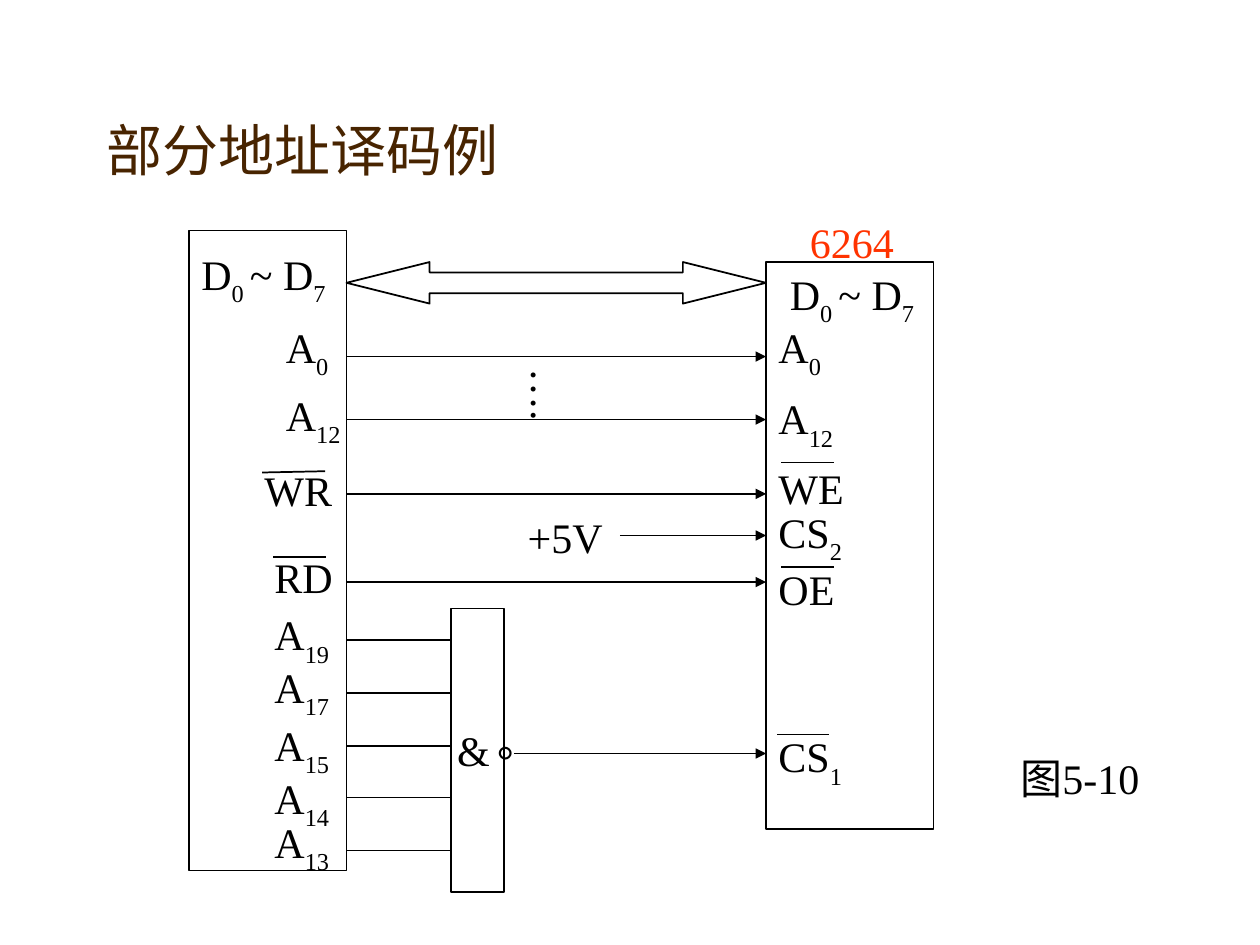
from dataclasses import dataclass

import pptx
import pptx.dml.color
import pptx.enum.shapes
import pptx.enum.text
import pptx.oxml
import pptx.oxml.ns
import pptx.util
from pptx.util import Inches

COLORS = {"ink": "000000", "title": "482400", "chip": "FF3300"}
FONT = "Times New Roman"
CPU_RIGHT, GATE_LEFT, CHIP_LEFT = 2.75, 3.58, 6.08
SHAPES = pptx.enum.shapes.MSO_SHAPE
ANCHORS = pptx.enum.text.MSO_ANCHOR


@dataclass
class Label:
    text: str
    left: float
    top: float
    width: float = 0.75


@dataclass
class Wire:
    x1: float
    y1: float
    x2: float
    y2: float
    arrow: bool = False


def rgb(name: str) -> pptx.dml.color.RGBColor:
    return pptx.dml.color.RGBColor.from_string(COLORS[name])


def add_text(s, text: str, left: float, top: float, width: float, height: float = 0.5, *,
             size: float = 24, color: str = "ink", anchor=ANCHORS.TOP, vert: str = "horz") -> None:
    tf = s.shapes.add_textbox(Inches(left), Inches(top), Inches(width), Inches(height)).text_frame
    tf.word_wrap = True
    tf.vertical_anchor = anchor
    tf._txBody.bodyPr.set("vert", vert)
    p = tf.paragraphs[0]
    for i, part in enumerate(text.split("|")):
        r = p.add_run()
        r.text = part
        r.font.name = FONT
        r.font.size = pptx.util.Pt(size)
        r.font.color.rgb = rgb(color)
        if i % 2:
            r.font._element.set("baseline", "-30000")


def add_outline(s, kind, left: float, top: float, width: float, height: float):
    sp = s.shapes.add_shape(kind, Inches(left), Inches(top), Inches(width), Inches(height))
    sp.shadow.inherit = False
    sp.fill.background()
    sp.line.color.rgb = rgb("ink")
    sp.line.width = pptx.util.Pt(1)
    return sp


def add_wire(s, wire: Wire) -> None:
    c = s.shapes.add_connector(pptx.enum.shapes.MSO_CONNECTOR.STRAIGHT, Inches(wire.x1),
                               Inches(wire.y1), Inches(wire.x2), Inches(wire.y2))
    c.line.color.rgb = rgb("ink")
    c.line.width = pptx.util.Pt(1)
    if wire.arrow:
        tail = pptx.oxml.parse_xml(f'<a:tailEnd {pptx.oxml.ns.nsdecls("a")} type="triangle"/>')
        c.line._get_or_add_ln().append(tail)
    c._element.spPr.append(pptx.oxml.parse_xml(f'<a:effectLst {pptx.oxml.ns.nsdecls("a")}/>'))


BOXES = [(CHIP_LEFT, 2.08, 1.33, 4.5), (1.5, 1.83, 1.25, 5.08), (GATE_LEFT, 4.83, 0.42, 2.25)]

CHIP_PINS = [("A|0", 2.5), ("A|12", 3.07), ("WE", 3.62), ("OE", 4.42), ("CS|2", 3.97), ("CS|1", 5.75)]
GATE_INPUTS = [("A|19", 4.78), ("A|17", 5.2), ("A|15", 5.66), ("A|14", 6.08), ("A|13", 6.43)]
LABELS = [
    Label("D|0 |~ D|7", 6.17, 2.08, 1.67),
    *[Label(text, CHIP_LEFT, top) for text, top in CHIP_PINS],
    Label("D|0 |~ D|7", 1.5, 1.92, 1.67),
    Label("A|0", 2.17, 2.5),
    Label("A|12", 2.17, 3.04),
    Label("WR", 2, 3.64),
    Label("RD", 2.08, 4.33),
    *[Label(text, 2.08, top) for text, top in GATE_INPUTS],
    Label("+5V", 4.09, 4.01, 1),
    Label("&", 3.53, 5.7, 0.42),
    Label("。", 3.85, 5.63, 0.58),
    Label("图5-10", 8, 5.92, 1.17),
]

OVERBARS = [
    Wire(2.08, 3.75, 2.58, 3.74),
    Wire(2.17, 4.42, 2.59, 4.42),
    Wire(6.2, 3.67, 6.62, 3.67),
    Wire(6.2, 4.5, 6.62, 4.5),
    Wire(6.17, 5.83, 6.58, 5.83),
]
SIGNALS = [(CPU_RIGHT, y) for y in (2.83, 3.33, 3.92, 4.62)] + [(4.92, 4.25), (4.08, 5.98)]
WIRES = [
    *OVERBARS,
    *[Wire(x, y, CHIP_LEFT, y, arrow=True) for x, y in SIGNALS],
    *[Wire(CPU_RIGHT, y, GATE_LEFT, y) for y in (5.08, 5.5, 5.92, 6.33, 6.75)],
]


def main() -> None:
    prs = pptx.Presentation()
    prs.slide_width, prs.slide_height = Inches(10), Inches(7.5)
    s = prs.slides.add_slide(prs.slide_layouts[6])
    add_text(s, "部分地址译码例", 0.75, 0.25, 8.5, 1.25, size=32, color="title", anchor=ANCHORS.BOTTOM)
    for box in BOXES:
        add_outline(s, SHAPES.RECTANGLE, *box)
    bus = add_outline(s, SHAPES.LEFT_RIGHT_ARROW, CPU_RIGHT, 2.08, CHIP_LEFT - CPU_RIGHT, 0.33)
    bus.adjustments[0], bus.adjustments[1] = 0.5, 2
    for wire in WIRES:
        add_wire(s, wire)
    for label in LABELS:
        add_text(s, label.text, label.left, label.top, label.width)
    add_text(s, "….", 4, 2.83, 0.6, 1.08, vert="eaVert")
    add_text(s, "6264", 6.33, 1.67, 1.33, color="chip")
    prs.save("out.pptx")


if __name__ == "__main__":
    main()
